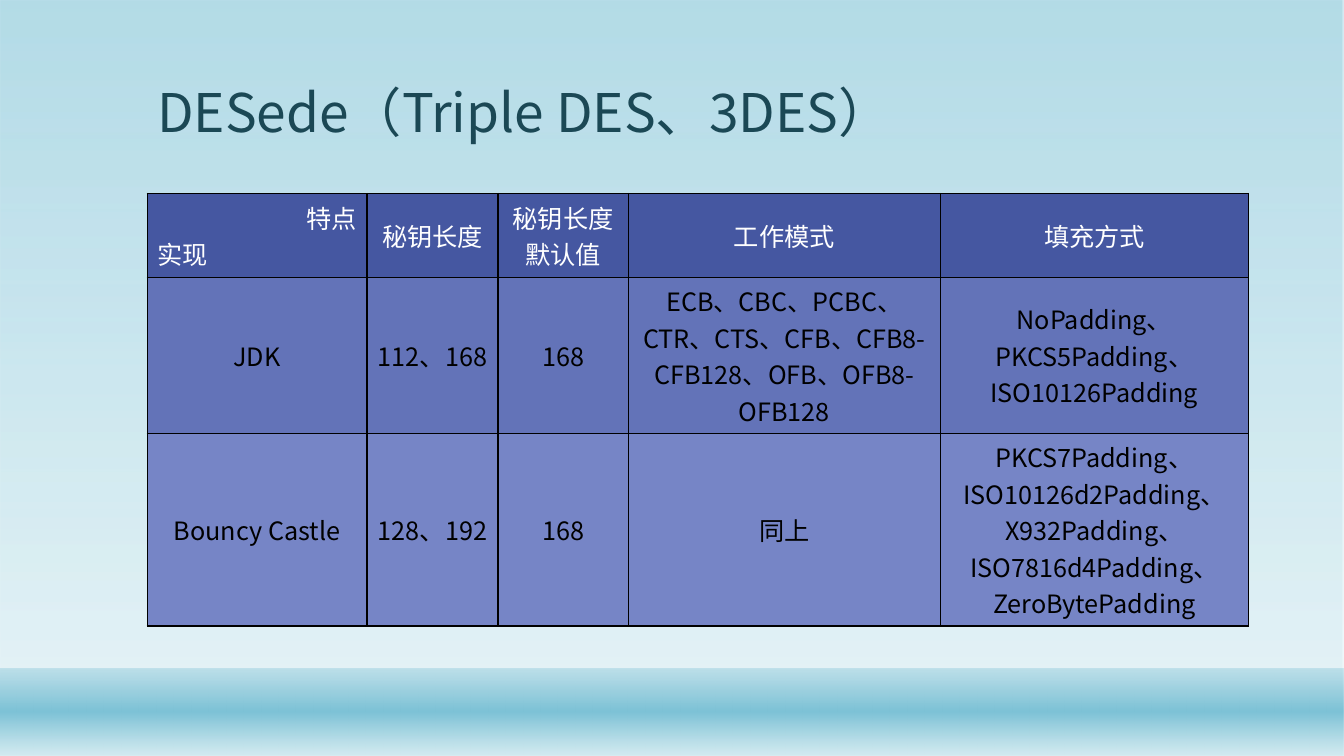
from lxml.etree import SubElement
from pptx import Presentation
from pptx.dml.color import RGBColor
from pptx.enum.shapes import MSO_SHAPE
from pptx.enum.text import MSO_ANCHOR, PP_ALIGN
from pptx.oxml.ns import qn
from pptx.util import Inches, Pt

FACE = "Noto Sans CJK SC"
HEAD, BODY, LAST = "4557A1", "6373B8", "7685C6"
COLS = [2.18, 1.3, 1.29, 3.1, 3.05]
ROWS = [0.83, 1.55, 1.91]
DATA = [
    ["特点\n实现", "秘钥长度", "秘钥长度默认值", "工作模式", "填充方式"],
    ["JDK", "112、168", "168",
     "ECB、CBC、PCBC、CTR、CTS、CFB、CFB8-CFB128、OFB、OFB8-OFB128",
     "NoPadding、PKCS5Padding、ISO10126Padding"],
    ["Bouncy Castle", "128、192", "168", "同上",
     "PKCS7Padding、ISO10126d2Padding、\vX932Padding、"
     "ISO7816d4Padding、\vZeroBytePadding"],
]


def color(code):
    return RGBColor.from_string(code)


def style(para, size, code, **form):
    for name, value in form.items():
        setattr(para, name, value)
    for run in para.runs:
        for name, value in {"size": Pt(size), "name": FACE}.items():
            setattr(run.font, name, value)
        run.font.color.rgb = color(code)
        SubElement(run.font._element, qn("a:ea"), typeface=FACE)


def band(slide, box, stops):
    """Rectangle with a downward fade; stops are (place, colour, opacity)."""
    rect = slide.shapes.add_shape(MSO_SHAPE.RECTANGLE, *map(Inches, box))
    rect.shadow.inherit = False
    rect.line.fill.background()
    rect.fill.gradient()
    grad = rect._element.spPr.find(qn("a:gradFill"))
    for child in list(grad):
        grad.remove(child)
    marks = SubElement(grad, qn("a:gsLst"))
    for place, code, alpha in stops:
        stop = SubElement(marks, qn("a:gs"), pos=str(place * 1000))
        tone = SubElement(stop, qn("a:srgbClr"), val=code)
        SubElement(tone, qn("a:alpha"), val=str(alpha * 1000))
    SubElement(grad, qn("a:lin"), ang="5400000", scaled="0")


def title(slide, box, text):
    frame = slide.shapes.add_textbox(*map(Inches, box)).text_frame
    frame.word_wrap = True
    frame.vertical_anchor = MSO_ANCHOR.BOTTOM
    para = frame.paragraphs[0]
    para.text = text
    style(para, 38, "1B4855", line_spacing=0.9)


def border(cell):
    props = cell._tc.get_or_add_tcPr()
    for side in ("lnL", "lnR", "lnT", "lnB"):
        line = SubElement(props, qn("a:" + side), w=str(Pt(1)))
        fill = SubElement(line, qn("a:solidFill"))
        SubElement(fill, qn("a:srgbClr"), val="000000")


def grid(slide, box):
    table = slide.shapes.add_table(
        len(ROWS), len(COLS), *map(Inches, box)).table
    for col, width in zip(table.columns, COLS):
        col.width = Inches(width)
    for row, height, texts, back in zip(
            table.rows, ROWS, DATA, (HEAD, BODY, LAST)):
        row.height = Inches(height)
        ink = "FFFFFF" if back == HEAD else "000000"
        for cell, text in zip(row.cells, texts):
            border(cell)
            cell.fill.solid()
            cell.fill.fore_color.rgb = color(back)
            cell.vertical_anchor = MSO_ANCHOR.MIDDLE
            cell.text = text
            paras = cell.text_frame.paragraphs
            # The corner cell names both axes: right above, left below
            split = len(paras) > 1
            sides = (PP_ALIGN.RIGHT, PP_ALIGN.LEFT) if split else (PP_ALIGN.CENTER,)
            for para, side in zip(paras, sides):
                style(para, 18, ink, alignment=side)


def main():
    deck = Presentation()
    deck.slide_width, deck.slide_height = Inches(13.33), Inches(7.5)
    slide = deck.slides.add_slide(deck.slide_layouts[6])
    # Backdrop and foot band
    band(slide, (0, 0, 13.33, 7.5), [(0, "7DC2D6", 58), (88, "D4EBF1", 65)])
    band(slide, (0, 6.63, 13.33, 0.87),
         [(1, "7DC2D6", 38), (49, "7DC2D6", 100), (100, "D4EBF1", 89)])
    # Content
    title(slide, (1.46, 0.29, 10.4, 1.19), "DESede（Triple DES、3DES）")
    grid(slide, (1.46, 1.92, sum(COLS), sum(ROWS)))
    deck.save("out.pptx")


if __name__ == "__main__":
    main()
